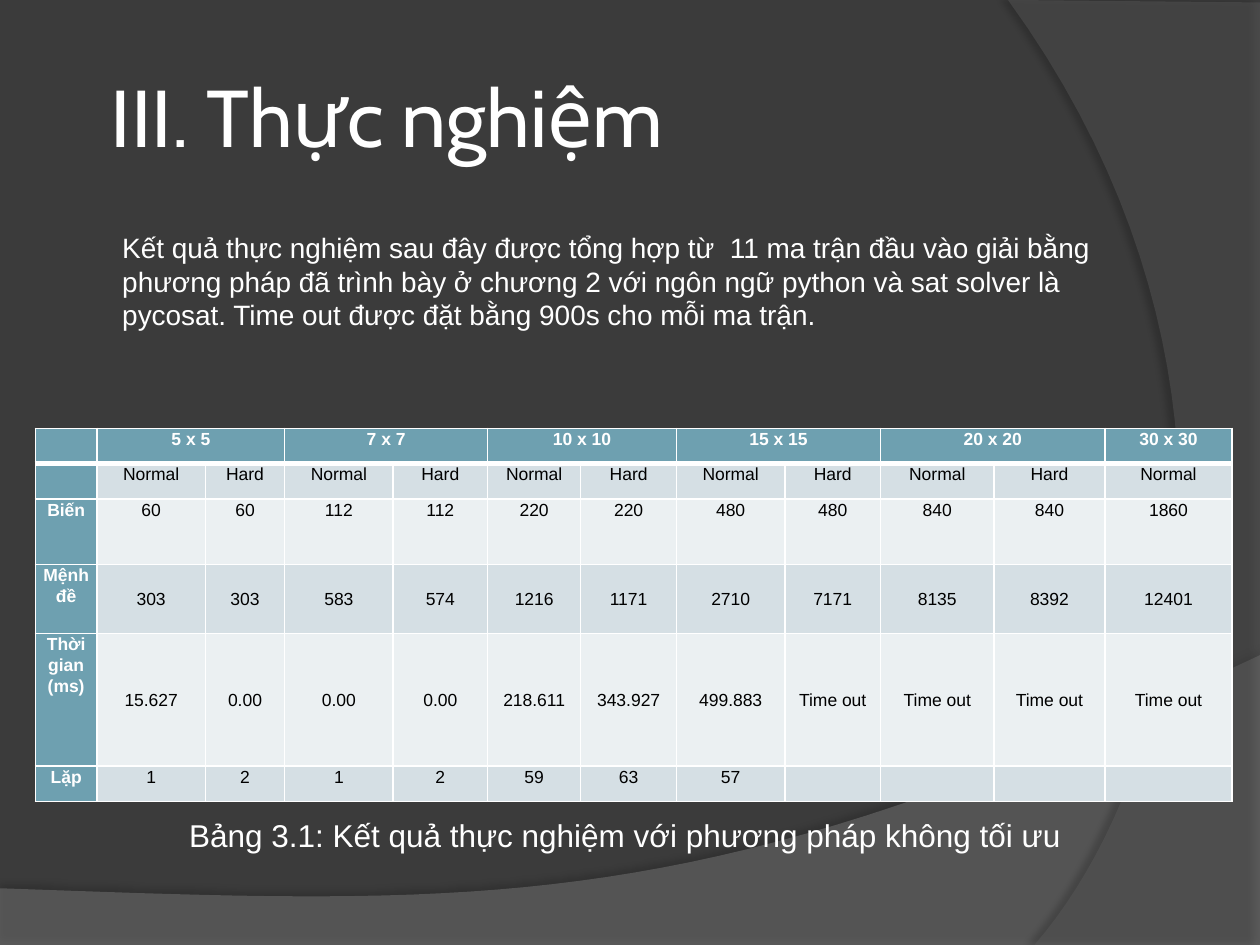
from dataclasses import dataclass

from lxml.etree import SubElement
from pptx import Presentation
from pptx.dml.color import RGBColor
from pptx.enum.text import MSO_ANCHOR, MSO_AUTO_SIZE, PP_ALIGN
from pptx.oxml.ns import qn
from pptx.util import Inches, Pt


@dataclass(frozen=True)
class Theme:
    background: str = "3B3B3B"
    white: str = "FFFFFF"
    black: str = "000000"
    accent: str = "6EA0B0"
    dark_band: str = "D5DFE4"
    light_band: str = "EBF0F2"
    lower_swirl: str = "7F7F7F"
    right_swirl: str = "5E5E5E"
    title_font: str = "Cabin"
    text_font: str = "Arial"
    title_size: int = 46
    body_size: int = 16
    caption_size: int = 18
    table_size: int = 10


THEME = Theme()
COLUMN_WIDTHS = [0.49, 0.86, 0.63, 0.86, 0.75, 0.74, 0.76, 0.86, 0.76, 0.9, 0.88, 1.01]
ROW_HEIGHTS = [0.28, 0.28, 0.52, 0.55, 1.05, 0.28]
MIDDLE_ROWS = (3, 4)
SIZES = [5, 7, 10, 15, 20, 30]
ROWS = [
    [""] + ["Normal", "Hard"] * 5 + ["Normal"],
    ["Biến", "60", "60", "112", "112", "220", "220", "480", "480", "840", "840", "1860"],
    ["Mệnh đề", "303", "303", "583", "574", "1216", "1171", "2710", "7171", "8135",
     "8392", "12401"],
    ["Thời gian (ms)", "15.627", "0.00", "0.00", "0.00", "218.611", "343.927",
     "499.883"] + ["Time out"] * 4,
    ["Lặp", "1", "2", "1", "2", "59", "63", "57"] + [""] * 4,
]


def add_text(para, text, size, color=THEME.white, font=THEME.text_font,
             bold=False, align=PP_ALIGN.LEFT):
    para.alignment = align
    span = para.add_run()
    span.text = text
    span.font.size = Pt(size)
    span.font.name = font
    span.font.bold = bold
    span.font.color.rgb = RGBColor.from_string(color)


def place(shape, box):
    shape.left, shape.top, shape.width, shape.height = (Inches(side) for side in box)


def curve(start, first, second, end, steps=40):
    """Return points along a cubic Bezier curve."""
    points = []
    for step in range(steps + 1):
        t = step / steps
        weights = ((1 - t) ** 3, 3 * t * (1 - t) ** 2, 3 * t * t * (1 - t), t ** 3)
        points.append(tuple(
            sum(weight * value for weight, value in zip(weights, axis))
            for axis in zip(start, first, second, end)))
    return points


def add_swirl(page, box, points, color, opacity, shadow_opacity, distance, direction):
    """Draw a translucent outline, with points in inches from the box corner."""
    left, top = box
    outline = [(Inches(left + x), Inches(top + y)) for x, y in points]
    builder = page.shapes.build_freeform(*outline[0])
    builder.add_line_segments(outline[1:], close=True)
    swirl = builder.convert_to_shape()
    swirl.line.fill.background()
    swirl.fill.solid()
    swirl.fill.fore_color.rgb = RGBColor.from_string(color)
    swirl.shadow.inherit = False
    properties = swirl._element.spPr
    fill_color = properties.find(qn("a:solidFill"))[0]
    SubElement(fill_color, qn("a:alpha"), val=str(opacity * 1000))
    shadow = SubElement(properties.find(qn("a:effectLst")), qn("a:outerShdw"),
                        blurRad=str(Pt(4)), dist=str(Pt(distance)),
                        dir=str(direction * 60000), algn="ctr", rotWithShape="0")
    shade = SubElement(shadow, qn("a:srgbClr"), val=THEME.black)
    SubElement(shade, qn("a:alpha"), val=str(shadow_opacity * 1000))
    page.shapes._spTree.insert(2, swirl._element)  # behind the placeholders


def add_backdrop(page):
    page.background.fill.solid()
    page.background.fill.fore_color.rgb = RGBColor.from_string(THEME.background)
    right_edge = curve((0.21, 7.5), (1.35, 6.19), (2.18, 3), (0, 0))
    add_swirl(page, (8, 0), [(2, 0.02), (2, 7.5)] + right_edge,
              THEME.right_swirl, 40, 45, 4, 180)
    upper_edge = curve((10, 0), (5.59, 2.09), (3.91, 1.99), (0, 1.85))
    add_swirl(page, (0, 5.2), [(0, 2.3), (10, 2.3)] + upper_edge,
              THEME.lower_swirl, 45, 35, 3.5, 270)


def fill_title(page, box, text):
    title = page.shapes.title
    place(title, box)
    frame = title.text_frame
    frame.auto_size = MSO_AUTO_SIZE.NONE
    frame.vertical_anchor = MSO_ANCHOR.MIDDLE
    frame.margin_left = frame.margin_right = Inches(0.05)
    frame.margin_top = frame.margin_bottom = Inches(0.05)
    add_text(frame.paragraphs[0], text, THEME.title_size, font=THEME.title_font)


def fill_body(page, box, text):
    body = page.placeholders[1]
    place(body, box)
    body.text_frame.auto_size = MSO_AUTO_SIZE.NONE
    para = body.text_frame.paragraphs[0]
    add_text(para, text, THEME.body_size)
    properties = para._p.get_or_add_pPr()
    properties.set("marL", str(Inches(0.04)))
    properties.set("indent", "0")
    SubElement(properties, qn("a:buNone"))


def add_borders(cell, header):
    properties = cell._tc.get_or_add_tcPr()
    for side in ("lnL", "lnR", "lnT", "lnB"):
        width = 3 if header and side == "lnB" else 1
        line = SubElement(properties, qn(f"a:{side}"), w=str(Pt(width)))
        SubElement(SubElement(line, qn("a:solidFill")), qn("a:srgbClr"), val=THEME.white)


def format_cell(cell, text, row, column):
    heading = row == 0 or column == 0
    add_borders(cell, row == 0)
    band = THEME.dark_band if row % 2 else THEME.light_band
    cell.fill.solid()
    cell.fill.fore_color.rgb = RGBColor.from_string(THEME.accent if heading else band)
    cell.margin_left = cell.margin_right = Inches(0.06)
    cell.margin_top = cell.margin_bottom = 0
    if row in MIDDLE_ROWS and not heading:
        cell.vertical_anchor = MSO_ANCHOR.MIDDLE
    para = cell.text_frame.paragraphs[0]
    para.line_spacing = 1.07
    if text:
        add_text(para, text, THEME.table_size, bold=heading, align=PP_ALIGN.CENTER,
                 color=THEME.white if heading else THEME.black)
    else:
        SubElement(para._p, qn("a:endParaRPr"), sz=str(THEME.table_size * 100))


def add_results(page, left, top):
    box = (left, top, sum(COLUMN_WIDTHS), sum(ROW_HEIGHTS))
    table = page.shapes.add_table(len(ROW_HEIGHTS), len(COLUMN_WIDTHS),
                                  *(Inches(side) for side in box)).table
    for column, width in zip(table.columns, COLUMN_WIDTHS):
        column.width = Inches(width)
    for row, height in zip(table.rows, ROW_HEIGHTS):
        row.height = Inches(height)
    header = [""] * len(COLUMN_WIDTHS)
    header[1::2] = [f"{size} x {size}" for size in SIZES]
    for row, texts in enumerate([header] + ROWS):
        for column, text in enumerate(texts):
            format_cell(table.cell(row, column), text, row, column)
    for column in range(1, len(COLUMN_WIDTHS) - 1, 2):
        table.cell(0, column).merge(table.cell(0, column + 1))


def add_caption(page, box, text):
    frame = page.shapes.add_textbox(*(Inches(side) for side in box)).text_frame
    frame.word_wrap = True
    add_text(frame.paragraphs[0], text, THEME.caption_size, align=PP_ALIGN.CENTER)


def main():
    deck = Presentation()
    deck.slide_width, deck.slide_height = Inches(10), Inches(7.5)
    page = deck.slides.add_slide(deck.slide_layouts[1])
    add_backdrop(page)
    fill_title(page, (0.83, 0.29, 8.17, 1.25), "III. Thực nghiệm")
    fill_body(page, (0.83, 1.78, 8.17, 1.21),
              "Kết quả thực nghiệm sau đây được tổng hợp từ  11 ma trận đầu vào giải bằng "
              "phương pháp đã trình bày ở chương 2 với ngôn ngữ python và sat solver là "
              "pycosat. Time out được đặt bằng 900s cho mỗi ma trận.")
    add_results(page, 0.28, 3.4)
    add_caption(page, (1.22, 6.43, 7.48, 0.4),
                "Bảng 3.1: Kết quả thực nghiệm với phương pháp không tối ưu")
    deck.save("out.pptx")


if __name__ == "__main__":
    main()
